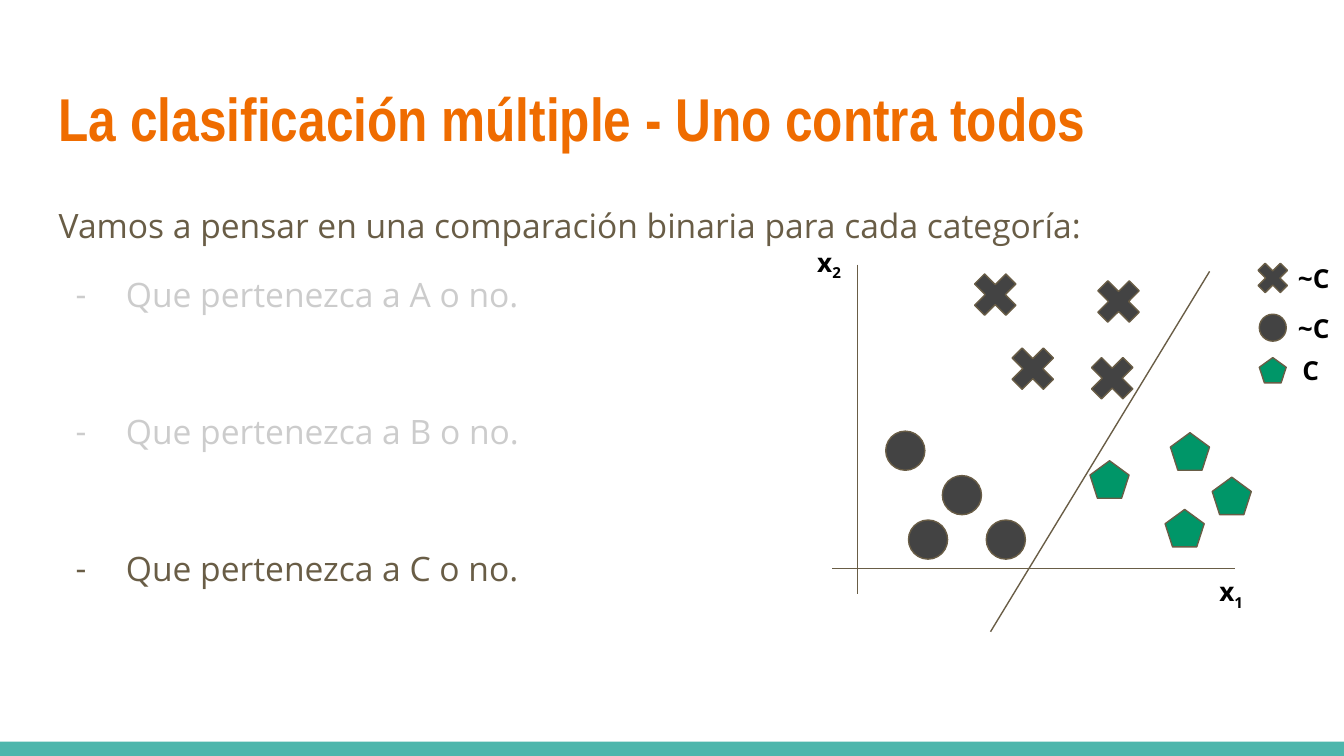
"""Slide on one-vs-all classification: title, list, scatter sketch and legend."""
from lxml import etree
from pptx import Presentation
from pptx import util as u
from pptx.dml.color import RGBColor
from pptx.enum import shapes, text
from pptx.oxml.ns import qn

INK, MUTED, DARK, GREEN = "695D46", "CCCCCC", "434343", "009668"
KINDS = {
    "cross": (shapes.MSO_SHAPE.MATH_MULTIPLY, DARK),
    "circle": (shapes.MSO_SHAPE.OVAL, DARK),
    "pentagon": (shapes.MSO_SHAPE.REGULAR_PENTAGON, GREEN),
}


def paint(target, color):
    """Set a fill, line or font colour from a hex string."""
    if hasattr(target, "solid"):
        target.solid()
        target = target.fore_color
    else:
        target = target.color
    target.rgb = RGBColor.from_string(color)


def add_run(p, content, size=18, font="Open Sans", color=INK, bold=False, baseline=0):
    """Append a formatted run to a paragraph."""
    r = p.add_run()
    r.text = content
    r.font.size, r.font.name, r.font.bold = u.Pt(size), font, bold
    paint(r.font, color)
    if baseline:
        r.font._element.set("baseline", str(baseline * 1000))


def set_frame(tf, anchor, wrap=True):
    """Give a text frame its insets, anchor and wrapping."""
    tf.auto_size = text.MSO_AUTO_SIZE.NONE
    tf.word_wrap, tf.vertical_anchor = wrap, anchor
    tf.margin_left = tf.margin_right = tf.margin_top = tf.margin_bottom = u.Cm(0.25)


def place(sp, x, y, w, h):
    """Move and size a shape, in centimetres."""
    sp.left, sp.top, sp.width, sp.height = (u.Cm(v) for v in (x, y, w, h))


def set_bullet(p, char=None, color=INK):
    """Give a paragraph a dash bullet, or none."""
    pPr = p._p.get_or_add_pPr()
    pPr.set("marL", str(u.Cm(1.27) if char else 0))
    pPr.set("indent", str(u.Cm(-0.95) if char else 0))
    if not char:
        etree.SubElement(pPr, qn("a:buNone"))
        return
    clr = etree.SubElement(pPr, qn("a:buClr"))
    etree.SubElement(clr, qn("a:srgbClr"), val=color)
    etree.SubElement(pPr, qn("a:buFont"), typeface="Open Sans")
    etree.SubElement(pPr, qn("a:buChar"), char=char)


def add_line(s, x1, y1, x2, y2):
    """Draw a thin straight line without shadow."""
    ln = s.shapes.add_connector(
        shapes.MSO_CONNECTOR.STRAIGHT, u.Cm(x1), u.Cm(y1), u.Cm(x2), u.Cm(y2))
    ln.line.width = u.Pt(0.75)
    paint(ln.line, INK)
    etree.SubElement(ln._element.spPr, qn("a:effectLst"))


def add_marker(s, kind, x, y, w, h):
    """Draw one data marker."""
    preset, color = KINDS[kind]
    sp = s.shapes.add_shape(preset, u.Cm(x), u.Cm(y), u.Cm(w), u.Cm(h))
    sp.shadow.inherit = False
    paint(sp.fill, color)
    paint(sp.line, INK)
    sp.line.width = u.Pt(0.75)


def add_label(s, content, x, y, w=1.02, sub=""):
    """Write a centred bold label with an optional subscript."""
    tb = s.shapes.add_textbox(u.Cm(x), u.Cm(y), u.Cm(w), u.Cm(0.74))
    set_frame(tb.text_frame, text.MSO_ANCHOR.MIDDLE, wrap=False)
    p = tb.text_frame.paragraphs[0]
    p.alignment = text.PP_ALIGN.CENTER
    add_run(p, content, size=14, color="000000", bold=True)
    if sub:
        add_run(p, sub, size=14, color="000000", bold=True, baseline=-25)


def add_footer(s, x, y, w, h):
    """Draw the coloured band at the bottom."""
    sp = s.shapes.add_shape(
        shapes.MSO_SHAPE.RECTANGLE, u.Cm(x), u.Cm(y), u.Cm(w), u.Cm(h))
    sp.shadow.inherit = False
    paint(sp.fill, "4DB6AC")
    sp.line.fill.background()


def fill_title(s, x, y, w, h):
    """Fill the title placeholder."""
    sp = s.shapes.title
    place(sp, x, y, w, h)
    set_frame(sp.text_frame, text.MSO_ANCHOR.MIDDLE)
    p = sp.text_frame.paragraphs[0]
    p.alignment = text.PP_ALIGN.LEFT
    add_run(p, "La clasificación múltiple - Uno contra todos",
            size=32.4, font="Arial Narrow", color="EF6C00", bold=True)


def fill_body(s, x, y, w, h):
    """Fill the body placeholder with the lead sentence and the list."""
    sp = s.placeholders[1]
    place(sp, x, y, w, h)
    tf = sp.text_frame
    set_frame(tf, text.MSO_ANCHOR.TOP)
    rows = [
        ("Vamos a pensar en una comparación binaria para cada categoría:", None, INK, 0),
        ("Que pertenezca a A o no.", "-", MUTED, 12),
        ("Que pertenezca a B o no.", "-", MUTED, 48.6),
        ("Que pertenezca a C o no.", "-", INK, 48.6),
    ]
    for i, (content, char, color, before) in enumerate(rows):
        p = tf.add_paragraph() if i else tf.paragraphs[0]
        set_bullet(p, char, color)
        p.line_spacing, p.space_before = 1.15, u.Pt(before)
        add_run(p, content, color=color)


def add_plot(s, x, y):
    """Draw axes, markers and the separating line from the box's corner."""
    add_line(s, x + 1.05, y + 0.38, x + 1.05, y + 6.61)
    add_line(s, x + 8.18, y + 6.12, x + 0.56, y + 6.12)
    add_label(s, "x", x + 7.6, y + 6.23, sub="1")
    add_label(s, "x", x, y, sub="2")
    groups = [
        ("circle", 0.74, 0.74, [(1.58, 3.53), (2.65, 4.37), (2.01, 5.21), (3.48, 5.21)]),
        ("cross", 1.14, 1.14, [(3.08, 0.38), (5.41, 0.51), (3.79, 1.78), (5.29, 1.96)]),
        ("pentagon", 0.74, 0.71, [(5.44, 4.09), (6.86, 5.01), (6.96, 3.56), (7.75, 4.4)]),
    ]
    for kind, w, h, points in groups:
        for dx, dy in points:
            add_marker(s, kind, x + dx, y + dy, w, h)
    add_line(s, x + 7.7, y + 0.51, x + 3.56, y + 7.32)


def add_legend(s, x, y):
    """Draw the legend's markers and labels from the box's corner."""
    rows = [
        ("cross", 0, 0, 0.81, 0.81, "~C", 0.03, 1.14),
        ("circle", 0.15, 1.09, 0.51, 0.51, "~C", 0.99, 1.14),
        ("pentagon", 0.15, 1.91, 0.51, 0.48, "C", 1.78, 1.02),
    ]
    for kind, dx, dy, w, h, content, label_dy, label_w in rows:
        add_marker(s, kind, x + dx, y + dy, w, h)
        add_label(s, content, x + 0.61, y + label_dy, label_w)


def main():
    """Build and save the slide."""
    prs = Presentation()
    prs.slide_width, prs.slide_height = u.Cm(25.4), u.Cm(14.29)
    s = prs.slides.add_slide(prs.slide_layouts[1])
    add_footer(s, 0, 14.02, 25.4, 0.27)
    fill_title(s, 0.86, 1.24, 23.67, 1.96)
    fill_body(s, 0.86, 3.51, 23.67, 9.17)
    add_plot(s, 15.16, 4.62)
    add_legend(s, 23.65, 4.85)
    prs.save("out.pptx")


if __name__ == "__main__":
    main()
